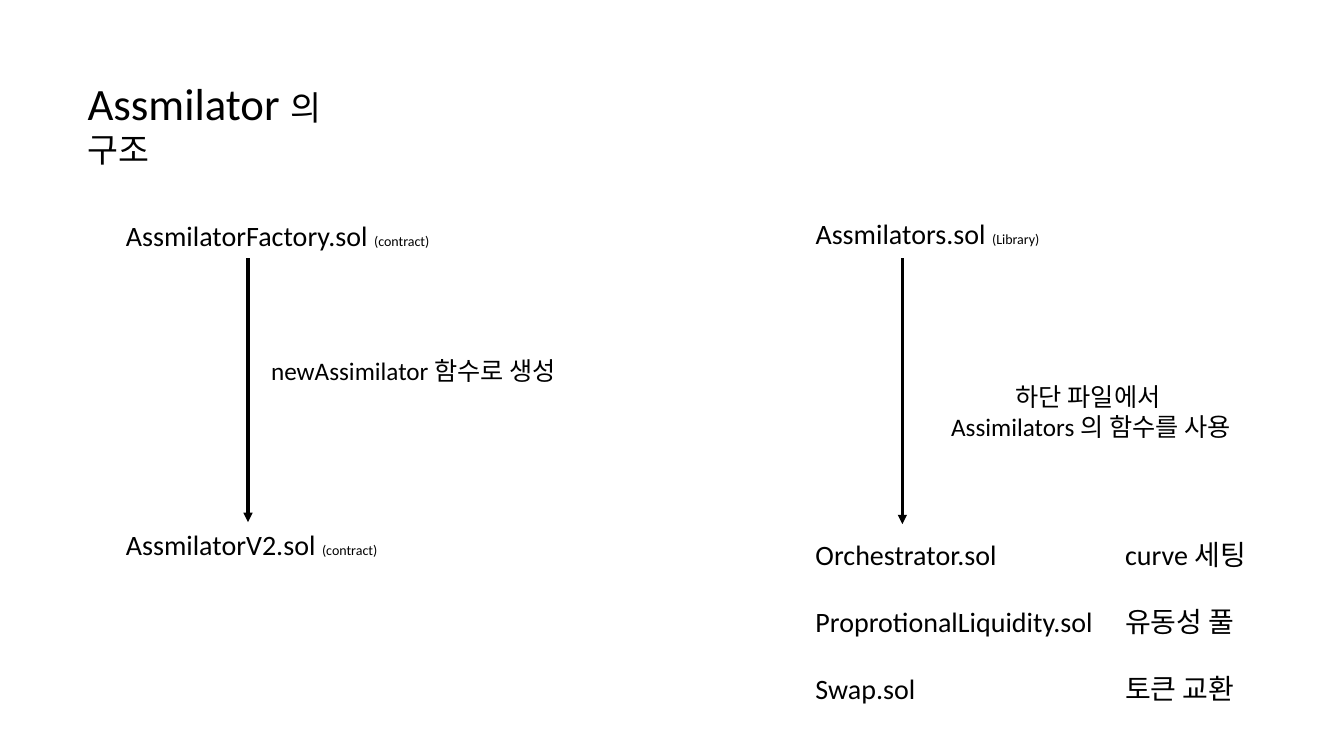
from dataclasses import dataclass

from lxml.etree import SubElement
from pptx import Presentation
from pptx.dml.color import RGBColor
from pptx.enum.shapes import MSO_CONNECTOR as Connector
from pptx.enum.text import PP_ALIGN as Align
from pptx.oxml.ns import qn
from pptx.util import Inches, Pt


@dataclass(frozen=True)
class Theme:
    font: str = "Calibri"
    ink: RGBColor = RGBColor(0, 0, 0)
    title: int = 32
    title_suffix: int = 24
    file: int = 20
    note: int = 18
    kind: int = 10
    arrow: float = 2.25


THEME = Theme()


def style_run(run, size):
    run.font.name = THEME.font
    run.font.size = Pt(size)
    run.font.color.rgb = THEME.ink


def add_text(slide, box, lines, align=Align.LEFT, gap=0, tab=None):
    """Each line is a list of (text, size) pairs."""
    shape = slide.shapes.add_textbox(*(Inches(value) for value in box))
    frame = shape.text_frame
    frame.word_wrap = True
    for index, line in enumerate(lines):
        paragraph = frame.add_paragraph() if index else frame.paragraphs[0]
        paragraph.alignment = align
        if index and gap:
            paragraph.space_before = Pt(gap)
        if tab:
            tabs = SubElement(paragraph._p.get_or_add_pPr(), qn("a:tabLst"))
            SubElement(tabs, qn("a:tab"), pos=str(Inches(tab)), algn="l")
        for text, size in line:
            run = paragraph.add_run()
            run.text = text
            style_run(run, size)


def add_file(slide, box, name, kind):
    add_text(slide, box, [[(f"{name} ", THEME.file), (f"({kind})", THEME.kind)]])


def add_arrow(slide, x, top, bottom):
    arrow = slide.shapes.add_connector(
        Connector.STRAIGHT, Inches(x), Inches(top), Inches(x), Inches(bottom))
    arrow.line.color.rgb = THEME.ink
    arrow.line.width = Pt(THEME.arrow)
    SubElement(arrow.line._get_or_add_ln(), qn("a:tailEnd"), type="triangle")
    SubElement(arrow._element.spPr, qn("a:effectLst"))


def add_title(slide, left, top):
    add_text(slide, (left, top, 3.2, 0.64),
             [[("Assmilator ", THEME.title), ("의 구조", THEME.title_suffix)]])


def add_factory_flow(slide, left, top):
    # Factory contract creates the V2 contract
    add_file(slide, (left, top, 3.25, 0.44), "AssmilatorFactory.sol", "contract")
    add_file(slide, (left, top + 3.06, 2.73, 0.44), "AssmilatorV2.sol", "contract")
    add_arrow(slide, left + 1.31, top + 0.44, top + 3.06)
    add_text(slide, (left + 1.44, top + 1.36, 3.21, 0.4),
             [[("newAssimilator 함수로 생성", THEME.note)]])


def add_library_flow(slide, left, top):
    # Library and the files that call it
    add_file(slide, (left, top, 2.45, 0.44), "Assmilators.sol", "Library")
    add_arrow(slide, left + 0.96, top + 0.46, top + 3.1)
    notes = ["하단 파일에서 ", "Assimilators 의 함수를 사용"]
    add_text(slide, (left + 1.27, top + 1.63, 3.12, 0.71),
             [[(note, THEME.note)] for note in notes], Align.CENTER)

    # File names with their roles in a second column
    roles = [("Orchestrator.sol", "curve 세팅"),
             ("ProprotionalLiquidity.sol", "유동성 풀"),
             ("Swap.sol", "토큰 교환")]
    add_text(slide, (left, top + 3.18, 4.7, 1.78),
             [[(f"{name}\t{role}", THEME.file)] for name, role in roles],
             gap=24, tab=3.07)


def main():
    presentation = Presentation()
    presentation.slide_width = Inches(13.33)
    presentation.slide_height = Inches(7.5)
    slide = presentation.slides.add_slide(presentation.slide_layouts[6])
    add_title(slide, 0.77, 0.7)
    add_library_flow(slide, 7.99, 2.1)
    add_factory_flow(slide, 1.15, 2.12)
    presentation.save("out.pptx")


if __name__ == "__main__":
    main()
